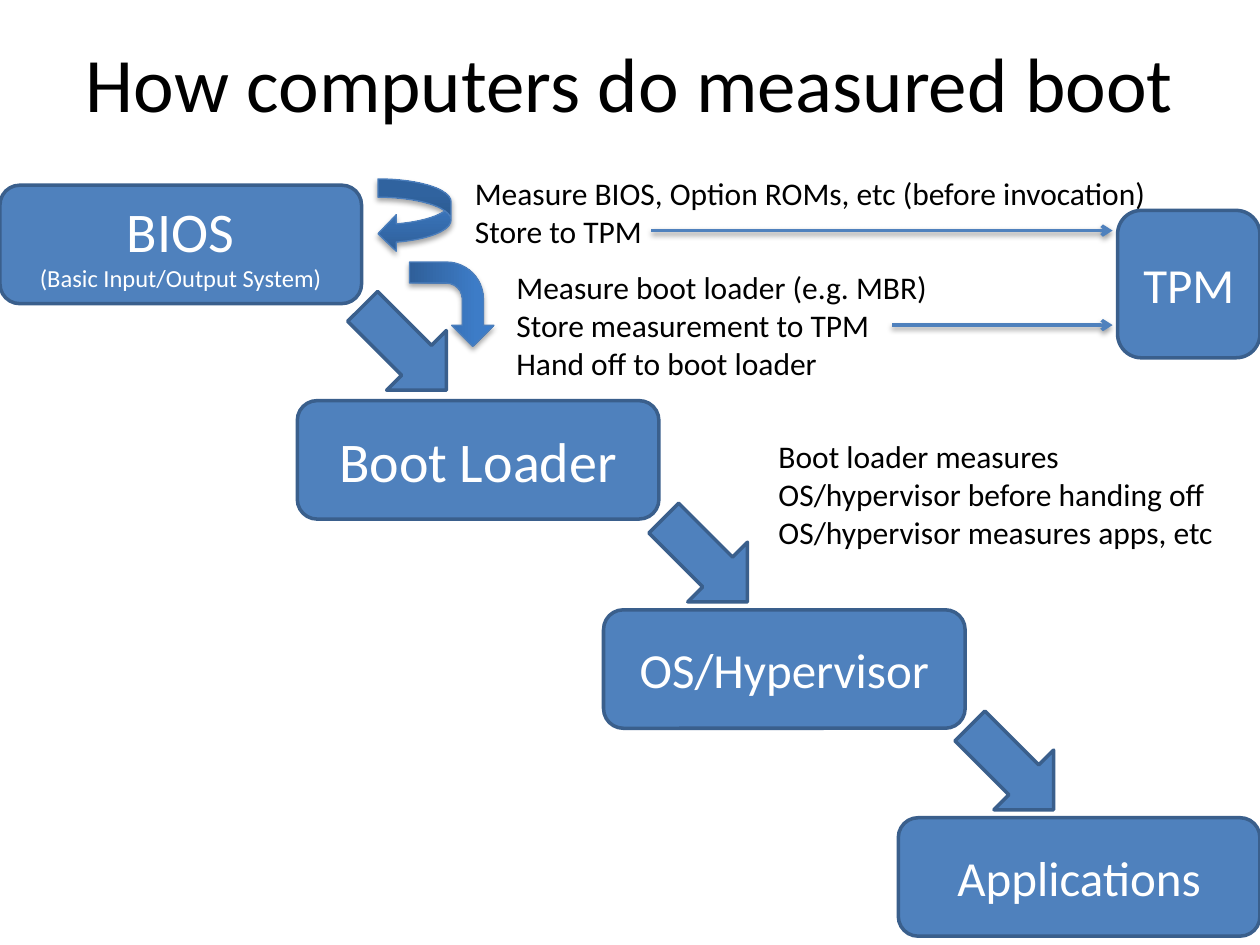
import pptx
import pptx.dml.color
import pptx.enum.shapes
import pptx.enum.text
import pptx.oxml
import pptx.oxml.ns
import pptx.util

# Grid of 100 columns by 75 rows; a box is (left, top, width, height) in cells
COLUMNS, ROWS = 100, 75
SLIDE_WIDTH, SLIDE_HEIGHT = pptx.util.Inches(10), pptx.util.Inches(7.5)
FONT = "Calibri"
BLUE, EDGE, BLACK, WHITE = "4F81BD", "3A5F8C", "000000", "FFFFFF"
GRADIENT = [(0, "2F5F99"), (80, "3D7CC7"), (100, "3A7CCB")]
STAGE_WIDTH, STAGE_HEIGHT = 28.7, 9.4
SHAPE = pptx.enum.shapes.MSO_SHAPE
ALIGN = pptx.enum.text.PP_ALIGN
ANCHOR = pptx.enum.text.MSO_ANCHOR


def colour(value):
    return pptx.dml.color.RGBColor.from_string(value)


def place(box):
    units = (SLIDE_WIDTH / COLUMNS, SLIDE_HEIGHT / ROWS) * 2
    return [round(cells * unit) for cells, unit in zip(box, units)]


def within(region, left, top, width, height):
    return region[0] + left, region[1] + top, width, height


def xml(text):
    declaration = pptx.oxml.ns.nsdecls("a")
    return pptx.oxml.parse_xml(text.replace(" ", f" {declaration} ", 1))


def write(shape, lines, sizes, color=BLACK, align=ALIGN.LEFT,
          anchor=ANCHOR.TOP, wrap=True):
    frame = shape.text_frame
    frame.word_wrap = wrap
    frame.vertical_anchor = anchor
    for index, (line, size) in enumerate(zip(lines, sizes)):
        paragraph = frame.add_paragraph() if index else frame.paragraphs[0]
        paragraph.alignment = align
        run = paragraph.add_run()
        run.text = line
        run.font.name = FONT
        run.font.size = pptx.util.Pt(size)
        run.font.color.rgb = colour(color)


def set_line(shape, color, width):
    shape.line.color.rgb = colour(color)
    shape.line.width = pptx.util.Pt(width)


def add_shadow(shape, opacity, distance):
    """Replace the theme's effects with a soft shadow straight below."""
    properties = shape._element.spPr
    for old in properties.findall(pptx.oxml.ns.qn("a:effectLst")):
        properties.remove(old)
    properties.append(xml(
        f'<a:effectLst ><a:outerShdw blurRad="{pptx.util.Pt(3.1)}" '
        f'dist="{pptx.util.Pt(distance)}" dir="5400000" rotWithShape="0">'
        f'<a:srgbClr val="{BLACK}"><a:alpha val="{opacity * 1000}"/></a:srgbClr>'
        '</a:outerShdw></a:effectLst>'))


def add_block(slide, kind, box, rotation=0):
    shape = slide.shapes.add_shape(kind, *place(box))
    shape.rotation = rotation
    shape.shadow.inherit = False
    shape.fill.solid()
    shape.fill.fore_color.rgb = colour(BLUE)
    set_line(shape, EDGE, 2)
    return shape


def add_labelled_block(slide, box, lines, sizes):
    shape = add_block(slide, SHAPE.ROUNDED_RECTANGLE, box)
    write(shape, lines, sizes, WHITE, ALIGN.CENTER, ANCHOR.MIDDLE)


def add_glossy_arrow(slide, kind, box, rotation=0):
    shape = add_block(slide, kind, box, rotation)
    set_line(shape, "4B7EBC", 0.75)
    stops = "".join(f'<a:gs pos="{position * 1000}"><a:srgbClr val="{value}"/></a:gs>'
                    for position, value in GRADIENT)
    properties = shape._element.spPr
    solid = properties.find(pptx.oxml.ns.qn("a:solidFill"))
    properties.replace(solid, xml(
        f'<a:gradFill rotWithShape="1"><a:gsLst>{stops}</a:gsLst>'
        '<a:lin ang="16200000" scaled="0"/></a:gradFill>'))
    add_shadow(shape, 35, 1.8)


def add_store_arrow(slide, left, top, right):
    x1, y1, x2, y2 = place((left, top, right, top))
    connector = slide.shapes.add_connector(
        pptx.enum.shapes.MSO_CONNECTOR.STRAIGHT, x1, y1, x2, y2)
    set_line(connector, BLUE, 2)
    connector.line._get_or_add_ln().append(xml('<a:tailEnd type="arrow"/>'))
    add_shadow(connector, 38, 1.6)


def add_note(slide, box, lines, wrap=False):
    note = slide.shapes.add_textbox(*place(box))
    write(note, lines, [18] * len(lines), wrap=wrap)


def add_title(slide, box, text):
    title = slide.shapes.title
    title.left, title.top, title.width, title.height = place(box)
    write(title, [text], [44], align=ALIGN.CENTER, anchor=ANCHOR.MIDDLE)


def add_boot_chain(slide, region):
    """Staircase of boot stages, each reached by a diagonal arrow."""
    stages = [
        (0, 0, ["BIOS", "(Basic Input/Output System)"], [32, 14]),
        (23.6, 17.1, ["Boot Loader"], [32]),
        (47.9, 33.7, ["OS/Hypervisor"], [28]),
        (71.3, 50.2, ["Applications"], [28]),
    ]
    for left, top, lines, sizes in stages:
        add_labelled_block(slide, within(region, left, top, STAGE_WIDTH, STAGE_HEIGHT),
                           lines, sizes)
    for left, top in [(27.4, 9.6), (51.3, 26.4), (75.6, 42.9)]:
        add_block(slide, SHAPE.RIGHT_ARROW, within(region, left, top, 9.4, 6.7), 45)


def add_measurements(slide, region):
    """BIOS measurement steps and the TPM that stores them."""
    add_glossy_arrow(slide, SHAPE.CURVED_LEFT_ARROW, within(region, 0, 0.9, 5.8, 5.8))
    add_note(slide, within(region, 6.7, 0, 56.1, 7.1),
             ["Measure BIOS, Option ROMs, etc (before invocation)", "Store to TPM"])
    add_glossy_arrow(slide, SHAPE.BENT_ARROW, within(region, 2.5, 7.5, 6.7, 6.7), 90)
    add_note(slide, within(region, 10, 7.5, 34.9, 10.1),
             ["Measure boot loader (e.g. MBR)", "Store measurement to TPM",
              "Hand off to boot loader"])
    add_labelled_block(slide, within(region, 58.7, 3.4, 11.3, 11.7), ["TPM"], [28])
    for left, top in [(21.7, 5), (40.8, 12.5)]:
        add_store_arrow(slide, region[0] + left, region[1] + top, region[0] + 58.3)


def main():
    presentation = pptx.Presentation()
    presentation.slide_width, presentation.slide_height = SLIDE_WIDTH, SLIDE_HEIGHT
    slide = presentation.slides.add_slide(presentation.slide_layouts[5])  # Title Only
    add_title(slide, (5, 0.2, 90, 12.5), "How computers do measured boot")
    add_boot_chain(slide, (0, 14.7, 100, 59.6))
    add_measurements(slide, (30, 13.3, 70, 17.6))
    add_note(slide, (60.8, 34.2, 39.2, 10.1),
             ["Boot loader measures OS/hypervisor before handing off",
              "OS/hypervisor measures apps, etc"], wrap=True)
    presentation.save("out.pptx")


if __name__ == "__main__":
    main()
